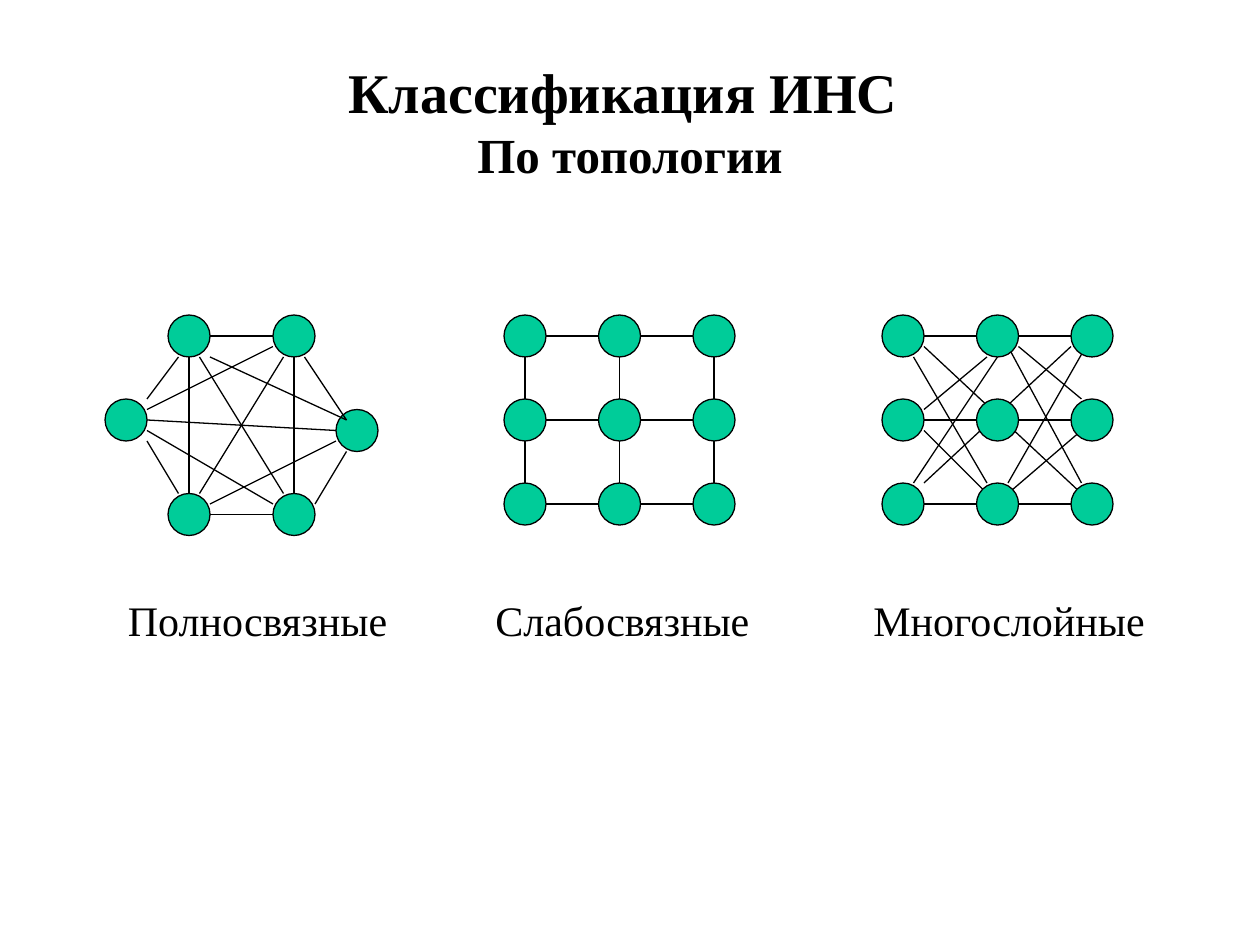
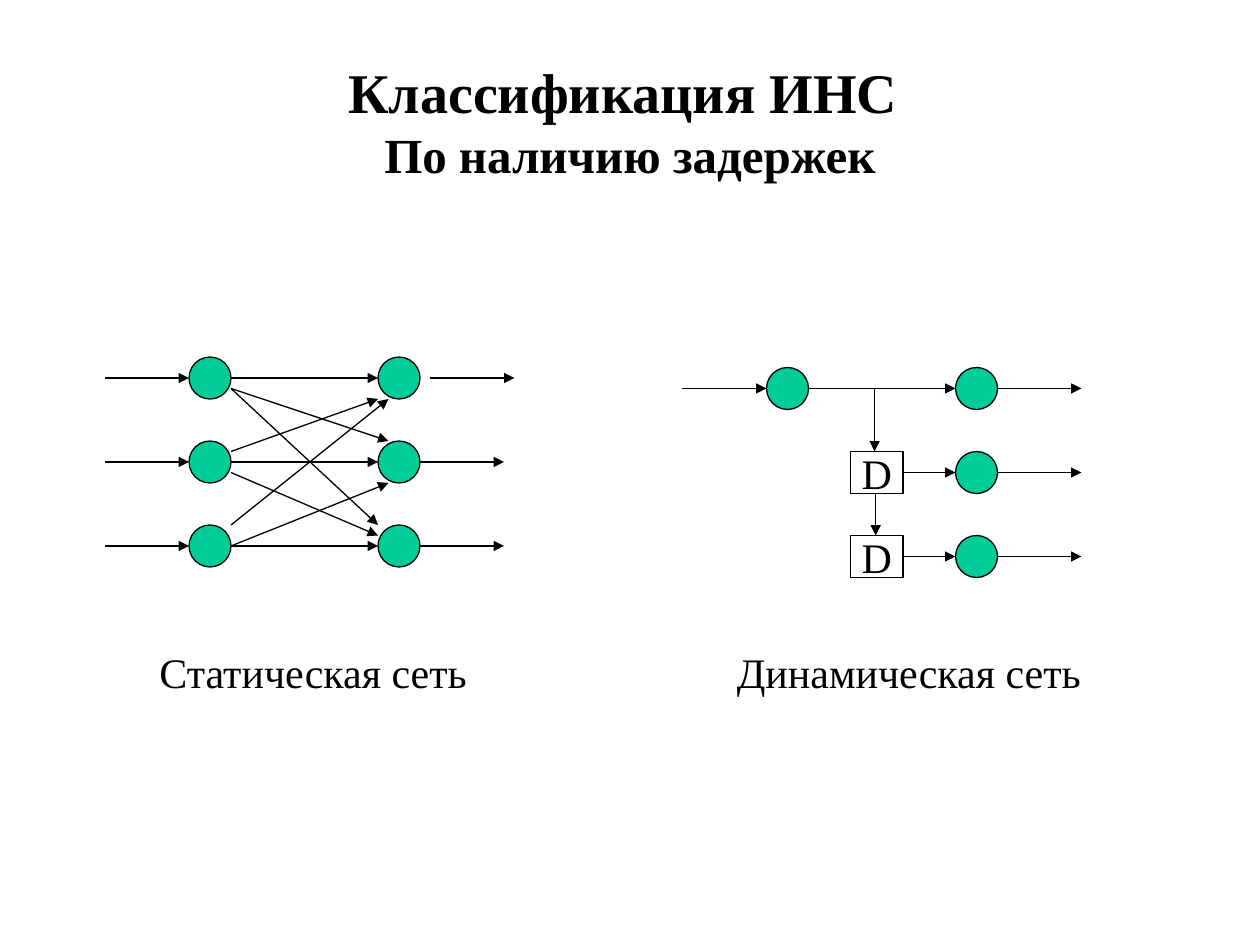
from dataclasses import dataclass

from lxml import etree
from pptx import Presentation
from pptx import util as u
from pptx.dml.color import RGBColor
from pptx.enum import shapes, text
from pptx.oxml import ns


@dataclass(frozen=True)
class Theme:
    font: str = "Times New Roman"
    ink: RGBColor = RGBColor(0, 0, 0)
    neuron: RGBColor = RGBColor(0x00, 0xCC, 0x99)
    title: u.Pt = u.Pt(32)
    subtitle: u.Pt = u.Pt(28)
    body: u.Pt = u.Pt(24)
    space_before: u.Pt = u.Pt(15)
    line: u.Pt = u.Pt(0.75)


THEME = Theme()
UNITS_PER_INCH = 12
NEURON = 4       # neuron diameter, in grid units
ROW = 8          # distance between rows of neurons
COLUMN = 9       # distance between columns of neurons
ROW_TOPS = [ROW * row for row in range(3)]
ROW_AXES = [top + NEURON / 2 for top in ROW_TOPS]


def grid(units):
    return u.Inches(units / UNITS_PER_INCH)


def style_font(font, size, bold=False):
    font.name = THEME.font
    font.size = size
    font.bold = bold
    font.color.rgb = THEME.ink


class Diagram:
    """Draws parts on a slide in grid units from the diagram's top left corner."""

    def __init__(self, slide, left, top):
        self.shapes = slide.shapes
        self.left, self.top = left, top

    def place(self, x, y):
        return grid(self.left + x), grid(self.top + y)

    def outlined(self, kind, x, y, width, height):
        shape = self.shapes.add_shape(kind, *self.place(x, y), grid(width), grid(height))
        shape.shadow.inherit = False
        shape.line.color.rgb = THEME.ink
        shape.line.width = THEME.line
        return shape

    def neurons(self, corners):
        for x, y in corners:
            neuron = self.outlined(shapes.MSO_SHAPE.OVAL, x, y, NEURON, NEURON)
            neuron.fill.solid()
            neuron.fill.fore_color.rgb = THEME.neuron

    def delay(self, x, y):
        box = self.outlined(shapes.MSO_SHAPE.RECTANGLE, x, y, 5, NEURON)
        box.fill.background()
        frame = box.text_frame
        frame.margin_left = frame.margin_right = frame.margin_top = frame.margin_bottom = 0
        frame.vertical_anchor = text.MSO_ANCHOR.MIDDLE
        label = frame.paragraphs[0]
        label.text = "D"
        label.alignment = text.PP_ALIGN.CENTER
        style_font(label.font, THEME.body)

    def links(self, ends, arrow=False):
        """Each link is given as x1, y1, x2, y2."""
        for x1, y1, x2, y2 in ends:
            link = self.shapes.add_connector(
                shapes.MSO_CONNECTOR.STRAIGHT, *self.place(x1, y1), *self.place(x2, y2))
            link.line.color.rgb = THEME.ink
            link.line.width = THEME.line
            if arrow:
                etree.SubElement(link.line._get_or_add_ln(), ns.qn("a:tailEnd"), type="triangle")
            etree.SubElement(link._element.spPr, ns.qn("a:effectLst"))

    def caption(self, words, x, y, width):
        box = self.shapes.add_textbox(*self.place(x, y), grid(width), grid(6))
        box.text_frame.word_wrap = True
        line = box.text_frame.paragraphs[0]
        line.text = words
        line.space_before = THEME.space_before
        style_font(line.font, THEME.body)


def add_title(slide, subtitle):
    box = slide.shapes.add_textbox(u.Inches(0.75), u.Inches(0.33), u.Inches(8.5), u.Inches(1.25))
    frame = box.text_frame
    frame.word_wrap = True
    frame.vertical_anchor = text.MSO_ANCHOR.MIDDLE
    heading = frame.paragraphs[0]
    heading.alignment = text.PP_ALIGN.CENTER
    topic = heading.add_run()
    topic.text = "Классификация ИНС "
    style_font(topic.font, THEME.title, bold=True)
    heading.add_line_break()
    criterion = heading.add_run()
    criterion.text = subtitle
    style_font(criterion.font, THEME.subtitle, bold=True)


def neuron_square():
    return [(COLUMN * column, top) for column in range(3) for top in ROW_TOPS]


def row_links(start, end):
    return [(start, y, end, y) for y in ROW_AXES]


def fully_connected(slide, left, top):
    net = Diagram(slide, left, top)
    net.neurons([(6, 0), (0, 8), (6, 17), (16, 17), (22, 9), (16, 0)])
    net.links([
        # sides of the hexagon
        (7, 4, 4, 8), (19, 4, 23, 10), (10, 2, 16, 2),
        (10, 19, 16, 19), (4, 12, 7, 17), (23, 13, 20, 18),
        # diagonals
        (8, 4, 8, 17), (18, 4, 18, 17), (4, 10, 22, 11),
        (17, 4, 9, 17), (9, 4, 17, 17), (10, 4, 23, 10),
        (16, 3, 4, 9), (4, 11, 16, 18), (22, 12, 10, 18),
    ])
    net.caption("Полносвязные", 1, 26, 28)


def weakly_connected(slide, left, top):
    net = Diagram(slide, left, top)
    column_axes = [COLUMN * column + NEURON / 2 for column in range(3)]
    net.links(row_links(NEURON, 2 * COLUMN))
    net.links([(x, NEURON, x, 2 * ROW) for x in column_axes])
    net.neurons(neuron_square())
    net.caption("Слабосвязные", -2, 26, 29)


def multilayer(slide, left, top):
    net = Diagram(slide, left, top)
    net.links(row_links(NEURON, 2 * COLUMN))
    net.links([
        # through the middle neuron
        (4, 3, 19, 17), (4, 16, 18, 3),
        # first layer to second
        (4, 11, 10, 17), (4, 9, 10, 4), (3, 4, 10, 16), (3, 16, 11, 4),
        # second layer to third
        (13, 3, 19, 8), (12, 17, 19, 11), (12, 3, 19, 16), (12, 16, 20, 2),
    ])
    net.neurons(neuron_square())
    net.caption("Многослойные", -2, 26, 30)


def static_network(slide, left, top):
    net = Diagram(slide, left, top)
    net.neurons([(x, y) for x in (8, 26) for y in ROW_TOPS])
    first_output, *other_outputs = row_links(30, 38)
    x1, y1, x2, y2 = first_output
    outputs = [(x1 + 1, y1, x2 + 1, y2), *other_outputs]
    crossing = [
        (12, 3, 26, 16), (12, 3, 27, 8), (12, 9, 26, 4),
        (12, 11, 26, 17), (12, 18, 27, 12), (12, 16, 27, 4),
    ]
    net.links(row_links(0, 8) + row_links(12, 26) + outputs + crossing, arrow=True)
    net.caption("Статическая сеть", 4, 27, 32)


def dynamic_network(slide, left, top):
    net = Diagram(slide, left, top)
    net.neurons([(8, 0)] + [(26, y) for y in ROW_TOPS])
    for y in ROW_TOPS[1:]:
        net.delay(16, y)
    signal, *delayed = ROW_AXES
    net.links([(0, signal, 8, signal), (12, signal, 26, signal)], arrow=True)
    net.links([(21, y, 26, y) for y in delayed], arrow=True)
    net.links([(18.3, signal, 18.3, 8), (18.4, 12, 18.4, 16)], arrow=True)
    net.links(row_links(30, 38), arrow=True)
    net.caption("Динамическая сеть", 4, 26, 37)


def add_slide(deck, subtitle, networks):
    slide = deck.slides.add_slide(deck.slide_layouts[6])
    add_title(slide, subtitle)
    for draw, left, top in networks:
        draw(slide, left, top)


def main():
    deck = Presentation()
    deck.slide_width, deck.slide_height = u.Inches(10), u.Inches(7.5)
    add_slide(deck, "По топологии", [
        (fully_connected, 10, 30), (weakly_connected, 48, 30), (multilayer, 84, 30)])
    add_slide(deck, "По наличию задержек", [
        (static_network, 10, 34), (dynamic_network, 65, 35)])
    deck.save("out.pptx")


if __name__ == "__main__":
    main()
